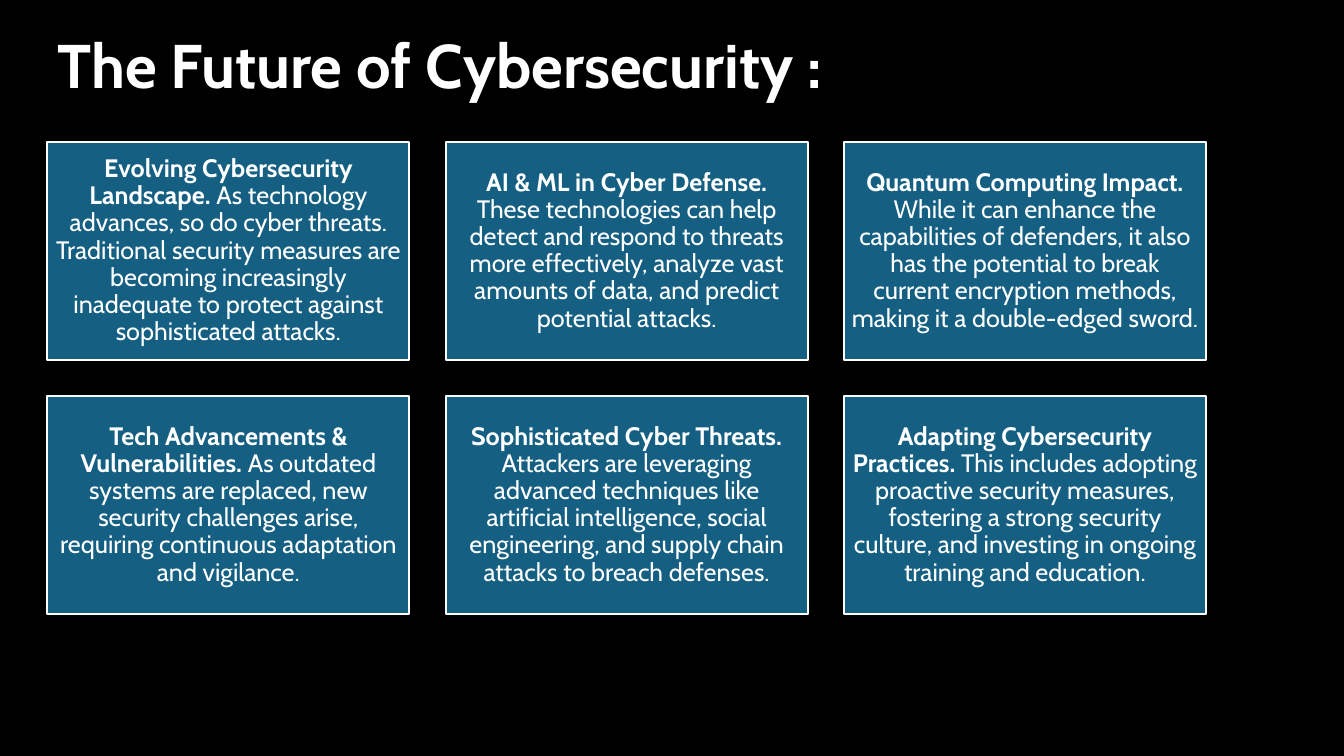
import pptx
import pptx.dml.color
import pptx.enum.shapes
import pptx.enum.text
import pptx.util

Inches = pptx.util.Inches
Pt = pptx.util.Pt
Align = pptx.enum.text.PP_ALIGN
Anchor = pptx.enum.text.MSO_ANCHOR

COLORS = {"background": "000000", "card": "156082", "light": "FFFFFF"}

TITLE = "The Future of Cybersecurity :"
CARDS = [
    ("Evolving Cybersecurity Landscape.",
     " As technology advances, so do cyber threats. Traditional security measures"
     " are becoming increasingly inadequate to protect against sophisticated attacks."),
    ("AI & ML in Cyber Defense.",
     " These technologies can help detect and respond to threats more effectively,"
     " analyze vast amounts of data, and predict potential attacks."),
    ("Quantum Computing Impact.",
     " While it can enhance the capabilities of defenders, it also has the potential"
     " to break current encryption methods, making it a double-edged sword."),
    ("Tech Advancements & Vulnerabilities.",
     " As outdated systems are replaced, new security challenges arise, requiring"
     " continuous adaptation and vigilance."),
    ("Sophisticated Cyber Threats.",
     " Attackers are leveraging advanced techniques like artificial intelligence,"
     " social engineering, and supply chain attacks to breach defenses."),
    ("Adapting Cybersecurity Practices.",
     " This includes adopting proactive security measures, fostering a strong security"
     " culture, and investing in ongoing training and education."),
]

# Card grid, in inches
COLUMNS = 3
LEFT, TOP = 0.47, 1.41
CARD_WIDTH, CARD_HEIGHT = 3.59, 2.16
GAP = 0.36


def color(name):
    return pptx.dml.color.RGBColor.from_string(COLORS[name])


class SlideBuilder:
    """Holds the text style and the current slide."""

    font_name = "Cabin"
    line_spacing = 0.9

    def __init__(self, slide):
        self.slide = slide

    def background(self):
        fill = self.slide.background.fill
        fill.solid()
        fill.fore_color.rgb = color("background")

    def add_text(self, frame, runs, size, align, anchor):
        frame.word_wrap = True
        frame.vertical_anchor = anchor
        paragraph = frame.paragraphs[0]
        paragraph.alignment = align
        paragraph.line_spacing = self.line_spacing
        for text, bold in runs:
            run = paragraph.add_run()
            run.text = text
            run.font.name = self.font_name
            run.font.size = Pt(size)
            run.font.bold = bold
            run.font.color.rgb = color("light")

    def title(self, text, left, top, width, height):
        box = self.slide.shapes.add_textbox(
            Inches(left), Inches(top), Inches(width), Inches(height))
        self.add_text(box.text_frame, [(text, True)], 44, Align.LEFT, Anchor.TOP)

    def card(self, heading, body, left, top):
        shape = self.slide.shapes.add_shape(
            pptx.enum.shapes.MSO_SHAPE.RECTANGLE,
            Inches(left), Inches(top), Inches(CARD_WIDTH), Inches(CARD_HEIGHT))
        shape.shadow.inherit = False
        shape.fill.solid()
        shape.fill.fore_color.rgb = color("card")
        shape.line.color.rgb = color("light")
        shape.line.width = Pt(1.5)
        frame = shape.text_frame
        frame.margin_left = frame.margin_right = Inches(0.07)
        frame.margin_top = frame.margin_bottom = Inches(0.07)
        self.add_text(frame, [(heading, True), (body, False)], 18,
                      Align.CENTER, Anchor.MIDDLE)


def main():
    presentation = pptx.Presentation()
    presentation.slide_width = Inches(13.33)
    presentation.slide_height = Inches(7.5)
    slide = presentation.slides.add_slide(presentation.slide_layouts[6])
    builder = SlideBuilder(slide)

    # Background and title
    builder.background()
    builder.title(TITLE, LEFT, 0.3, 11.5, 1.45)

    # Cards, row by row
    for index, (heading, body) in enumerate(CARDS):
        row, column = divmod(index, COLUMNS)
        builder.card(heading, body,
                     LEFT + column * (CARD_WIDTH + GAP),
                     TOP + row * (CARD_HEIGHT + GAP))

    presentation.save("out.pptx")


if __name__ == "__main__":
    main()
